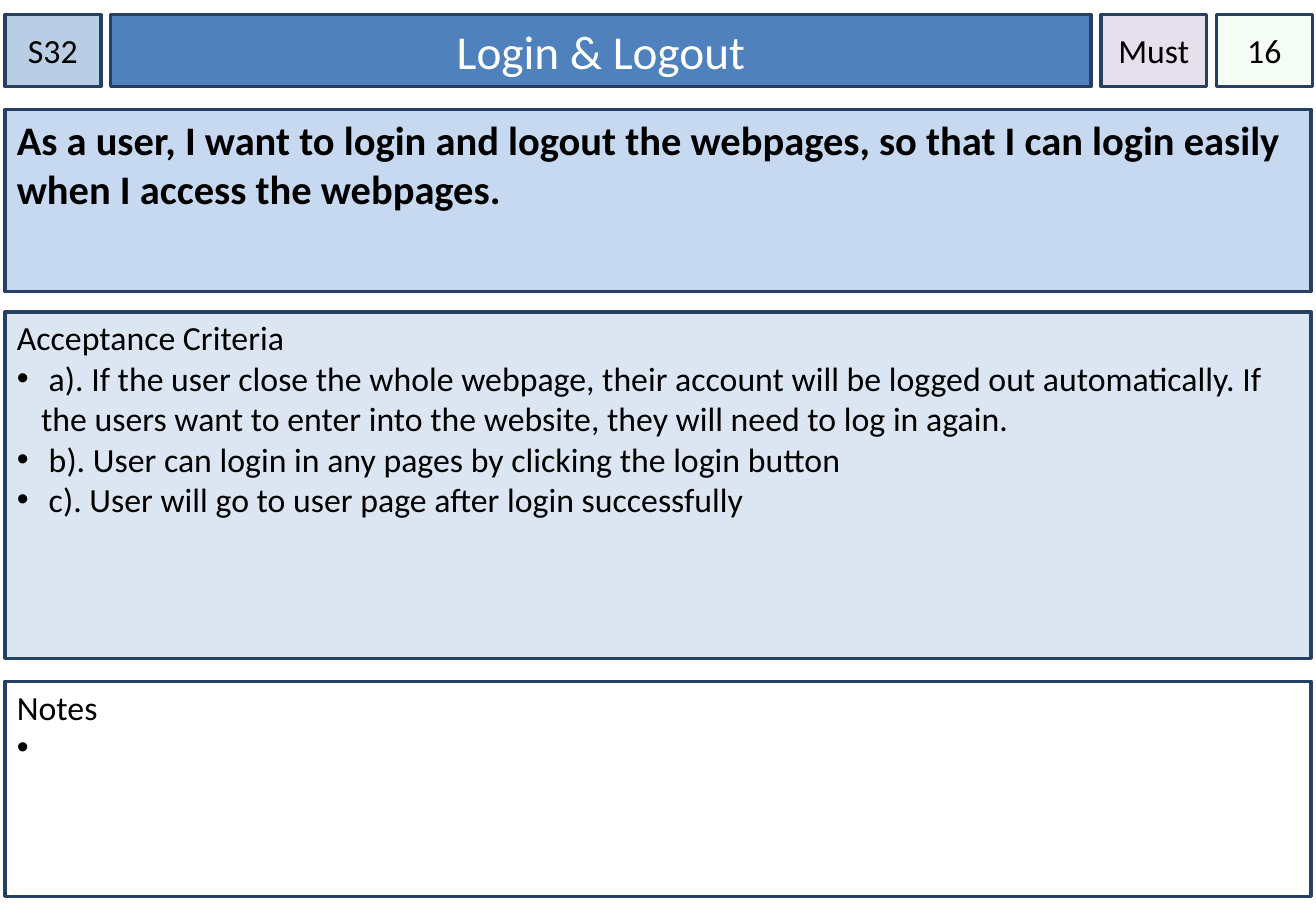
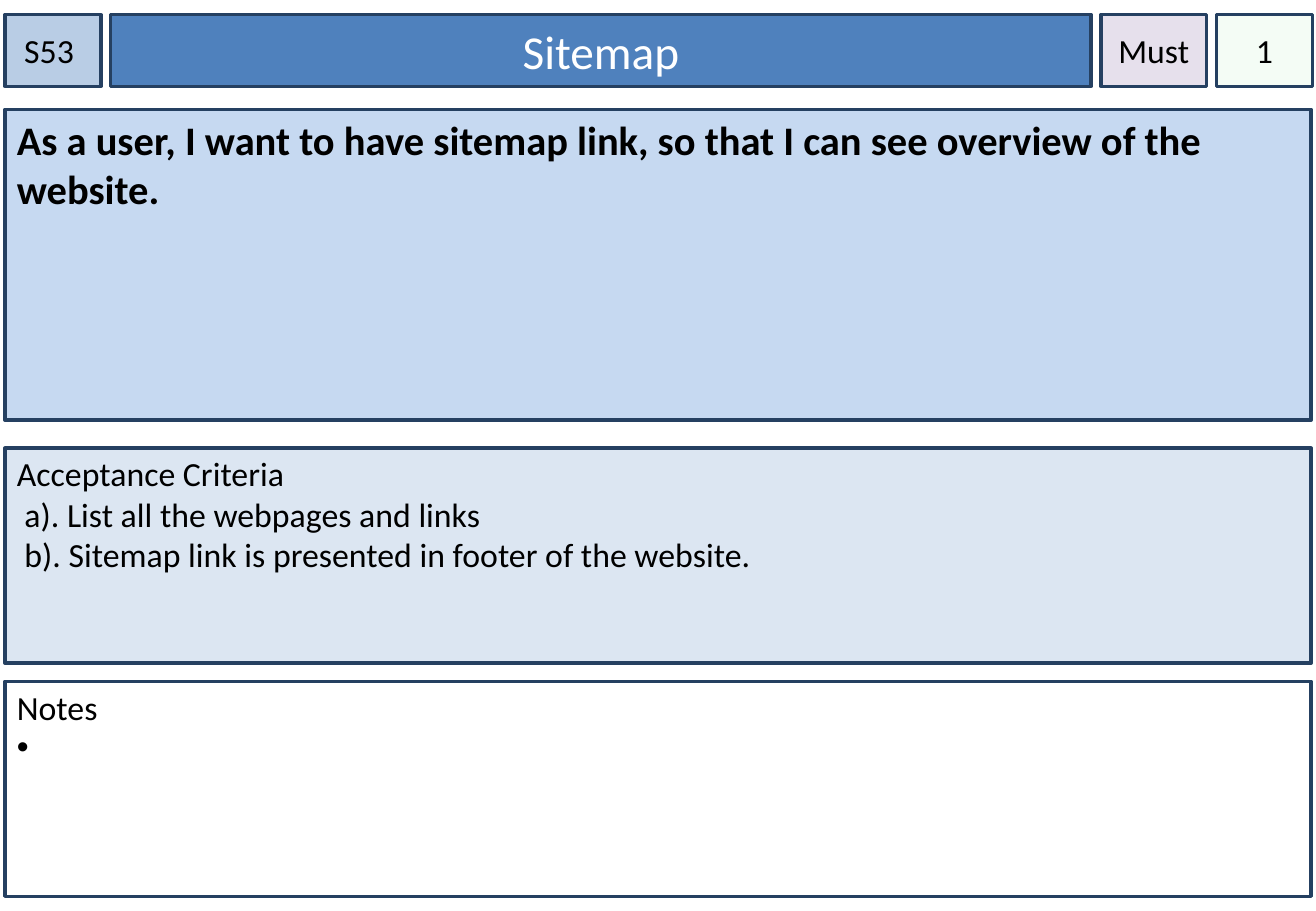
from lxml.etree import SubElement as Sub
from pptx import Presentation
from pptx.dml.color import RGBColor as RGB
from pptx.enum.shapes import MSO_SHAPE as Kind
from pptx.enum.text import MSO_ANCHOR as Anchor, PP_ALIGN as Align
from pptx.oxml.ns import qn
from pptx.util import Inches, Pt

THEME = {
    "font": "Calibri", "line": "254061", "text": "000000", "light": "FFFFFF",
    "code": "B9CDE5", "title": "4F81BD", "rank": "E6E0EC", "points": "CCF0CD",
    "story": "C6D9F1", "tests": "DCE6F2", "notes": "FFFFFF",
    "body": 20, "lead": 24, "head": 28, "edge": 2, "clear": 20,
}
CARDS = [
    {"code": "S32", "title": "Login & Logout", "rank": "Must", "points": "16",
     "story": "As a user, I want to login and logout the webpages, "
              "so that I can login easily when I access the webpages.",
     "tests": [" a). If the user close the whole webpage, their account will be "
               "logged out automatically. If the users want to enter into the "
               "website, they will need to log in again.",
               " b). User can login in any pages by clicking the login button",
               " c). User will go to user page after login successfully"],
     "dots": True, "rows": [(0.9, 1.5), (2.57, 2.85)]},
    {"code": "S53 ", "title": "Sitemap", "rank": "Must", "points": "1",
     "story": "As a user, I want to have sitemap link, "
              "so that I can see overview of the website.",
     "tests": [" a). List all the webpages and links",
               " b). Sitemap link is presented in footer of the website."],
     "dots": False, "rows": [(0.9, 2.56), (3.69, 1.77)]},
]
LEFT, WIDE, GAP = 0.04, 10.75, 0.08
HEAD = (0.12, 0.59)
NOTES = (5.61, 1.77)
TABS = [("code", 0.79), ("title", 8.07), ("rank", 0.87), ("points", 0.79)]


def add_dot(para):
    props = para._p.get_or_add_pPr()
    props.set("marL", str(Inches(0.2)))
    props.set("indent", str(-Inches(0.2)))
    Sub(props, qn("a:buFont")).set("typeface", "Arial")
    Sub(props, qn("a:buChar")).set("char", "•")


def add_box(slide, name, left, row, lines, size="body", ink="text",
            dots=False, bold=False, align=Align.LEFT, anchor=Anchor.TOP,
            side=0.1, top=0.05):
    box = slide.shapes.add_shape(
        Kind.RECTANGLE, *(Inches(n) for n in (left[0], row[0], left[1], row[1])))
    box.shadow.inherit = False
    box.fill.solid()
    box.fill.fore_color.rgb = RGB.from_string(THEME[name])
    box.line.color.rgb = RGB.from_string(THEME["line"])
    box.line.width = Pt(THEME["edge"])
    frame = box.text_frame
    frame.word_wrap = name != "rank"
    frame.vertical_anchor = anchor
    frame.margin_left = frame.margin_right = Inches(side)
    frame.margin_top, frame.margin_bottom = Inches(top), Inches(0.05)
    for i, line in enumerate(lines):
        para = frame.add_paragraph() if i else frame.paragraphs[0]
        para.text = line
        para.alignment = align
        if dots and i:
            add_dot(para)
        font = para.font
        font.name, font.size, font.bold = THEME["font"], Pt(THEME[size]), bold
        font.color.rgb = RGB.from_string(THEME[ink])
    return box


def add_head(slide, card):
    x = LEFT
    for name, width in TABS:
        big = name == "title"
        tab = add_box(slide, name, (x, width), HEAD, [card[name]],
                      size="head" if big else "body",
                      ink="light" if big else "text", align=Align.CENTER,
                      anchor=Anchor.MIDDLE, side=0.1 if big else 0)
        if name == "points":
            tint = tab.fill._xPr.find(".//" + qn("a:srgbClr"))
            Sub(tint, qn("a:alpha")).set("val", str(THEME["clear"] * 1000))
        x += width + GAP


def add_card(deck, card):
    slide = deck.slides.add_slide(deck.slide_layouts[6])
    add_head(slide, card)
    span = (LEFT, WIDE)
    story, tests = card["rows"]
    add_box(slide, "story", span, story, [card["story"]], size="lead", bold=True)
    add_box(slide, "tests", span, tests, ["Acceptance Criteria", *card["tests"]],
            dots=card["dots"], top=0.04)
    add_box(slide, "notes", span, NOTES, ["Notes", " "], dots=True, top=0.04)


def main():
    deck = Presentation()
    deck.slide_width, deck.slide_height = Inches(10.83), Inches(7.5)
    for card in CARDS:
        add_card(deck, card)
    deck.save("out.pptx")


if __name__ == "__main__":
    main()
